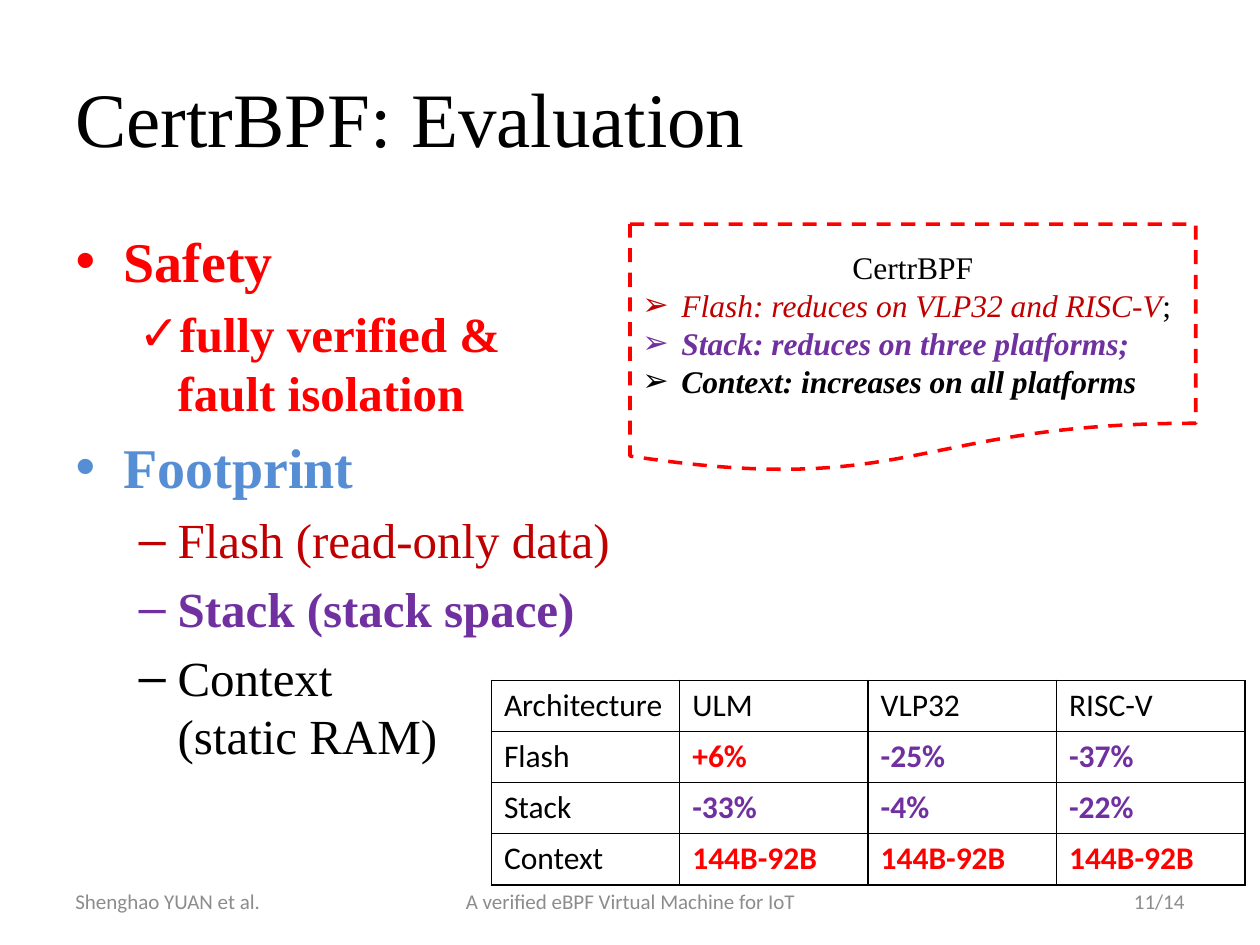
from dataclasses import dataclass
from typing import Optional

from lxml import etree
from pptx import Presentation
from pptx.dml.color import RGBColor
from pptx.enum import dml, shapes, text
from pptx.oxml import ns
from pptx.util import Inches, Pt

COLORS = {
    "black": "000000",
    "red": "FF0000",
    "dark_red": "C00000",
    "purple": "7030A0",
    "blue": "558ED5",
    "gray": "8C8C8C",
}
SERIF = "Times New Roman"
SANS = "Calibri"
ALIGN = text.PP_ALIGN
PLATFORMS = ("ULM", "VLP32", "RISC-V")


@dataclass
class Bullet:
    content: str
    mark: str
    color: str
    size: int
    level: int = 0
    bold: bool = False
    italic: bool = False


@dataclass
class Footer:
    content: str
    left: float
    width: float
    align: ALIGN


def rgb(name: str) -> RGBColor:
    return RGBColor.from_string(COLORS[name])


def add_text(paragraph, content: str, *, size: int, color: str = "black", font: str = SERIF,
             bold: bool = False, italic: bool = False, align: Optional[ALIGN] = None) -> None:
    """Append formatted text; each newline becomes a line break."""
    if align is not None:
        paragraph.alignment = align
    for index, line in enumerate(content.split("\n")):
        if index:
            paragraph.add_line_break()
        run = paragraph.add_run()
        run.text = line
        run.font.name = font
        run.font.size = Pt(size)
        run.font.bold = bold
        run.font.italic = italic
        run.font.color.rgb = rgb(color)


def add_bullet(paragraph, bullet: Bullet, margin: float, hanging: float) -> None:
    paragraph.level = bullet.level
    properties = paragraph._p.get_or_add_pPr()
    properties.set("marL", str(Inches(margin)))
    properties.set("indent", str(-Inches(hanging)))
    etree.SubElement(properties, ns.qn("a:buFont")).set("typeface", "Arial")
    etree.SubElement(properties, ns.qn("a:buChar")).set("char", bullet.mark)
    add_text(paragraph, bullet.content, size=bullet.size, color=bullet.color,
             bold=bullet.bold, italic=bullet.italic)


def place(shape, left: float, top: float, width: float, height: float) -> None:
    shape.left, shape.top = Inches(left), Inches(top)
    shape.width, shape.height = Inches(width), Inches(height)


def add_borders(cell, color: str, width: float) -> None:
    properties = cell._tc.get_or_add_tcPr()
    for side in ("lnL", "lnR", "lnT", "lnB"):
        line = etree.SubElement(properties, ns.qn(f"a:{side}"), w=str(Pt(width)))
        fill = etree.SubElement(line, ns.qn("a:solidFill"))
        etree.SubElement(fill, ns.qn("a:srgbClr")).set("val", COLORS[color])


def add_title(slide) -> None:
    title = slide.shapes.title
    place(title, 0.5, 0.3, 9, 1.25)
    add_text(title.text_frame.paragraphs[0], "CertrBPF: Evaluation", size=44, align=ALIGN.LEFT)


def add_body(slide) -> None:
    bullets = [
        Bullet("Safety", "•", "red", 32, bold=True),
        Bullet("fully verified &\nfault isolation", "✓", "red", 28, 1, bold=True),
        Bullet("Footprint", "•", "blue", 32, bold=True),
        Bullet("Flash (read-only data)", "–", "dark_red", 28, 1),
        Bullet("Stack (stack space)", "–", "purple", 28, 1, bold=True),
        Bullet("Context\n(static RAM)", "–", "black", 28, 1),
    ]
    body = slide.placeholders[1]
    place(body, 0.5, 1.75, 5.13, 4.95)
    frame = body.text_frame
    frame.auto_size = text.MSO_AUTO_SIZE.NONE
    for index, bullet in enumerate(bullets):
        paragraph = frame.add_paragraph() if index else frame.paragraphs[0]
        margin, hanging = (0.81, 0.31) if bullet.level else (0.38, 0.38)
        add_bullet(paragraph, bullet, margin, hanging)


def add_results(slide) -> None:
    rows = [
        ("Architecture", *PLATFORMS),
        ("Flash", "+6%", "-25%", "-37%"),
        ("Stack", "-33%", "-4%", "-22%"),
        ("Context", "144B-92B", "144B-92B", "144B-92B"),
    ]
    frame = slide.shapes.add_table(len(rows), len(rows[0]), Inches(3.9), Inches(5.4),
                                   Inches(5.98), Inches(1.62))
    table = frame.table
    table.first_row = table.horz_banding = False
    for row, values in enumerate(rows):
        for column, value in enumerate(values):
            cell = table.cell(row, column)
            is_result = row > 0 and column > 0
            # A reduction is purple, an increase red
            color = "black"
            if is_result:
                color = "purple" if value.startswith("-") else "red"
            add_text(cell.text_frame.paragraphs[0], value, size=18, color=color,
                     font=SANS, bold=is_result)
            add_borders(cell, "black", 1)
            cell.fill.background()


def add_summary(slide) -> None:
    flash = f"Flash: reduces on {PLATFORMS[1]} and {PLATFORMS[2]}"
    bullets = [
        Bullet(flash, "➢", "dark_red", 18, italic=True),
        Bullet("Stack: reduces on three platforms;", "➢", "purple", 18, bold=True, italic=True),
        Bullet("Context: increases on all platforms", "➢", "black", 18, bold=True, italic=True),
    ]
    note = slide.shapes.add_shape(shapes.MSO_SHAPE.FLOWCHART_DOCUMENT, Inches(5), Inches(1.78),
                                  Inches(4.49), Inches(1.97))
    note.shadow.inherit = False
    note.fill.background()
    note.line.color.rgb = rgb("red")
    note.line.width = Pt(2)
    note.line.dash_style = dml.MSO_LINE.DASH
    frame = note.text_frame
    frame.word_wrap = True
    frame.vertical_anchor = text.MSO_ANCHOR.MIDDLE
    add_text(frame.paragraphs[0], "CertrBPF", size=18, align=ALIGN.CENTER)
    for bullet in bullets:
        paragraph = frame.add_paragraph()
        paragraph.alignment = ALIGN.LEFT
        add_bullet(paragraph, bullet, 0.31, 0.31)
    add_text(frame.paragraphs[1], ";", size=18)


def add_footers(slide) -> None:
    footers = [
        Footer("Shenghao YUAN et al.", 0.5, 2.33, ALIGN.LEFT),
        Footer("A verified eBPF Virtual Machine for IoT", 3.42, 3.17, ALIGN.CENTER),
        Footer("11/14", 7.17, 2.33, ALIGN.RIGHT),
    ]
    for footer in footers:
        box = slide.shapes.add_textbox(Inches(footer.left), Inches(6.95),
                                       Inches(footer.width), Inches(0.4))
        box.text_frame.word_wrap = True
        box.text_frame.vertical_anchor = text.MSO_ANCHOR.MIDDLE
        add_text(box.text_frame.paragraphs[0], footer.content, size=12, color="gray",
                 font=SANS, align=footer.align)


def main() -> None:
    presentation = Presentation()
    presentation.slide_width, presentation.slide_height = Inches(10), Inches(7.5)
    slide = presentation.slides.add_slide(presentation.slide_layouts[1])
    add_title(slide)
    add_body(slide)
    add_results(slide)
    add_summary(slide)
    add_footers(slide)
    presentation.save("out.pptx")


if __name__ == "__main__":
    main()
